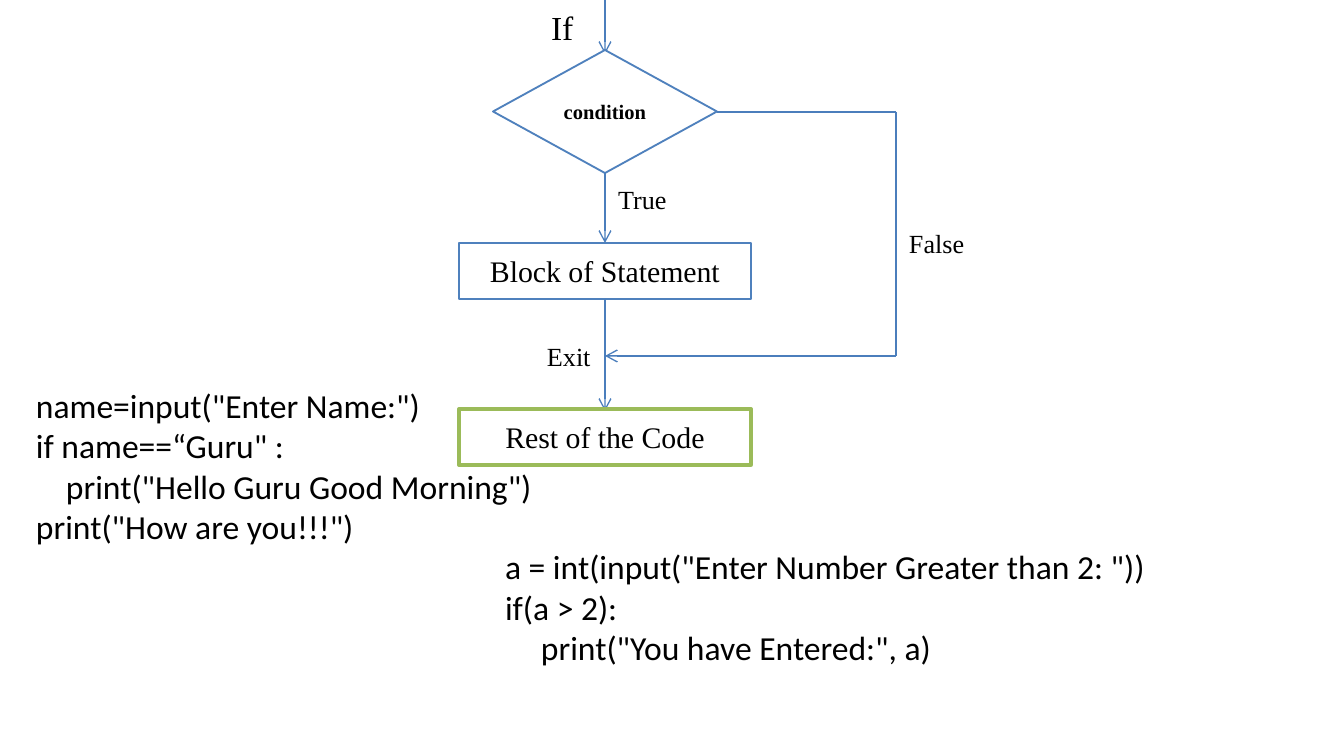
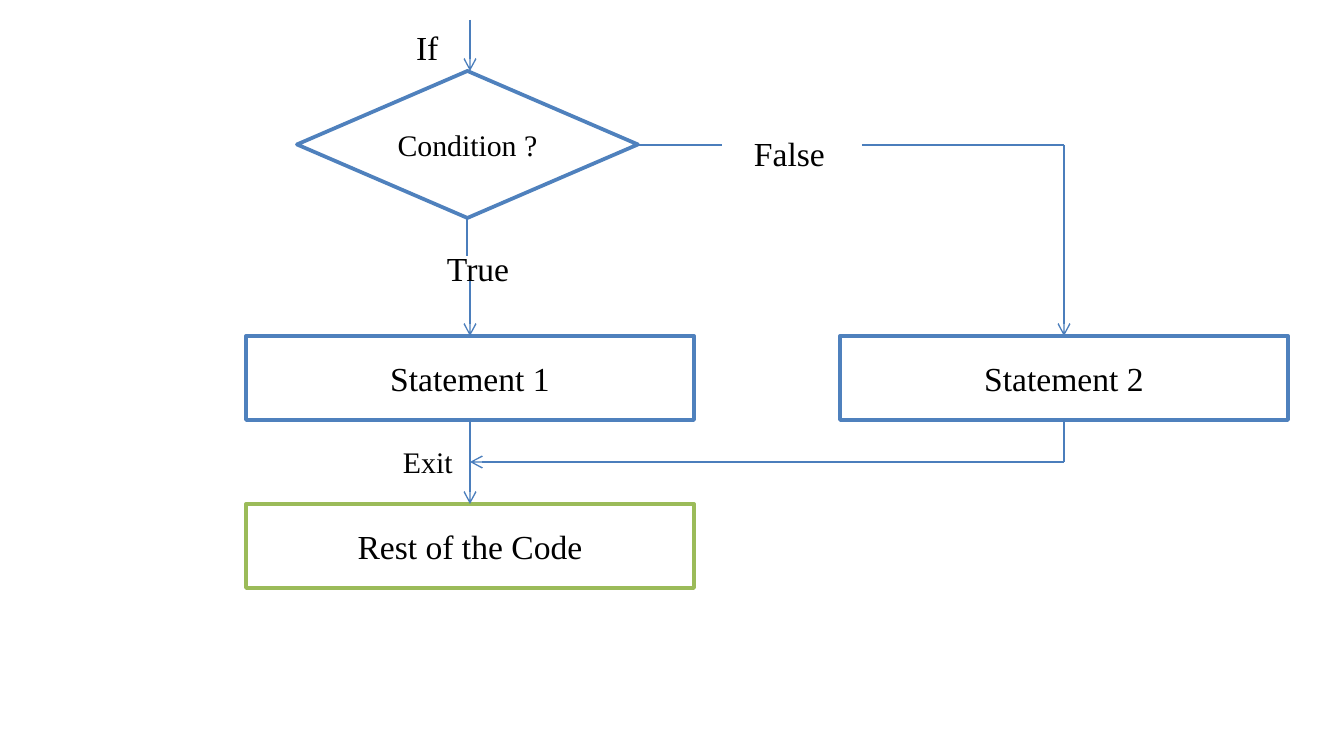
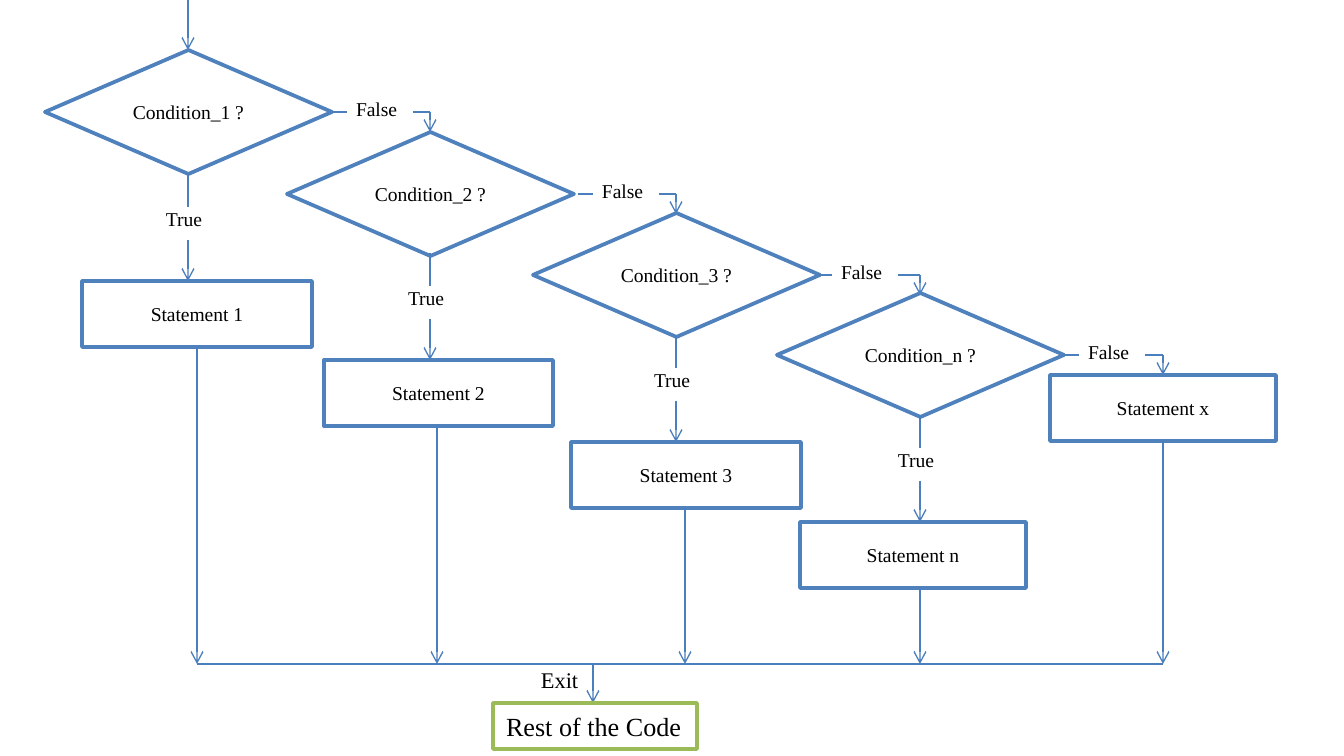
from pptx import Presentation
from pptx.dml.color import RGBColor
from pptx.enum.shapes import MSO_CONNECTOR, MSO_SHAPE
from pptx.enum.text import MSO_ANCHOR, MSO_AUTO_SIZE, PP_ALIGN
from pptx.oxml.ns import qn
from pptx.util import Emu, Pt
from lxml import etree

STRAIGHT = MSO_CONNECTOR.STRAIGHT
RECT, DIAMOND = MSO_SHAPE.RECTANGLE, MSO_SHAPE.DIAMOND
CHOICE = MSO_SHAPE.FLOWCHART_DECISION
LEFT, CENTER = PP_ALIGN.LEFT, PP_ALIGN.CENTER
TOP, MIDDLE = MSO_ANCHOR.TOP, MSO_ANCHOR.MIDDLE
FIT, FIXED = MSO_AUTO_SIZE.SHAPE_TO_FIT_TEXT, MSO_AUTO_SIZE.NONE

COLORS = {"white": "FFFFFF", "black": "000000", "blue": "4F81BD",
          "wire": "4B7EBC", "green": "9BBB59"}
SERIF, SANS = "Times New Roman", "Calibri"
WIDE, TIGHT = (13, 7), (9, 5)
SCALE = 914400 / 134.4


def px(n):
    return Emu(round(n * SCALE))


def color(name):
    return RGBColor.from_string(COLORS[name])


def say(frame, text, size=18, font=SERIF, bold=False, align=LEFT,
        anchor=TOP, pad=WIDE, wrap=False, fit=FIXED, indents=()):
    frame.word_wrap = wrap
    frame.auto_size = fit
    frame.vertical_anchor = anchor
    frame.margin_left = frame.margin_right = px(pad[0])
    frame.margin_top = frame.margin_bottom = px(pad[1])
    for i, part in enumerate(text.split("\n")):
        para = frame.add_paragraph() if i else frame.paragraphs[0]
        para.alignment = align
        if indents:
            para._p.get_or_add_pPr().set("marL", str(px(indents[i])))
        run = para.add_run()
        run.text = part
        run.font.size, run.font.name, run.font.bold = Pt(size), font, bold
        run.font.color.rgb = color("black")


class Deck:
    def __init__(self):
        self.file = Presentation()
        self.file.slide_width, self.file.slide_height = px(1344), px(756)

    def page(self):
        slide = self.file.slides.add_slide(self.file.slide_layouts[6])
        self.shapes = slide.shapes

    def line(self, x1, y1, x2, y2, head=False):
        wire = self.shapes.add_connector(STRAIGHT, px(x1), px(y1), px(x2), px(y2))
        wire.line.color.rgb = color("wire")
        wire.line.width = Pt(0.75)
        if head:
            etree.SubElement(wire.line._get_or_add_ln(), qn("a:tailEnd"), type="arrow")
        etree.SubElement(wire._element.spPr, qn("a:effectLst"))

    def arrow(self, x1, y1, x2, y2):
        self.line(x1, y1, x2, y2, head=True)

    def box(self, text, x, y, w, h, kind=RECT, edge="blue", width=2, **style):
        shape = self.shapes.add_shape(kind, px(x), px(y), px(w), px(h))
        shape.shadow.inherit = False
        shape.fill.solid()
        shape.fill.fore_color.rgb = color("white")
        shape.line.color.rgb = color(edge)
        shape.line.width = Pt(width)
        look = dict(align=CENTER, anchor=MIDDLE, pad=TIGHT, wrap=True)
        say(shape.text_frame, text, **{**look, **style})

    def label(self, text, x, y, w, h, **style):
        box = self.shapes.add_textbox(px(x), px(y), px(w), px(h))
        say(box.text_frame, text, fit=FIT, **style)


def simple(deck):
    deck.page()
    mid, side, left, wide, high = 605, 896, 459, 292, 56
    deck.arrow(mid, 0, mid, 54)
    deck.box("condition", 493, 50, 224, 123, kind=DIAMOND, width=1,
             size=11, bold=True, pad=WIDE)
    deck.arrow(mid, 173, mid, 243)
    deck.box("Block of Statement", left, 243, wide, high, width=1, size=16, pad=WIDE)
    deck.line(717, 112, side, 112)
    deck.line(side, 112, side, 356)
    deck.arrow(mid, 299, mid, 411)
    deck.arrow(side, 356, mid, 356)
    deck.label("If", 538, 0, 50, 54)
    for text, x, y, w in (("True", mid, 176, 75), ("False", side, 220, 83),
                          ("Exit", 534, 333, 71)):
        deck.label(text, x, y, w, 46, size=14)
    deck.box("Rest of the Code", left, 409, wide, high, edge="green", size=16, pad=WIDE)
    code = ('name=input("Enter Name:")\n'
            'if name==“Guru" :\n'
            'print("Hello Guru Good Morning")\n'
            'print("How are you!!!")\n'
            'a = int(input("Enter Number Greater than 2: "))\n'
            'if(a > 2):\n'
            'print("You have Entered:", a)')
    deck.label(code, 23, 378, 1288, 298, font=SANS, wrap=True,
               indents=(0, 0, 30, 0, 469, 469, 505))


def branch(deck):
    deck.page()
    mid, side, left, wide, high = 470, 1064, 246, 448, 84
    deck.arrow(mid, 20, mid, 71)
    deck.box("Condition ?", 297, 71, 341, 147, kind=CHOICE, size=16)
    deck.line(638, 145, 722, 145)
    deck.line(862, 145, side, 145)
    deck.arrow(side, 145, side, 336)
    deck.box("Statement 1", left, 336, wide, high)
    deck.box("Statement 2", 840, 336, wide, high)
    deck.arrow(mid, 277, mid, 336)
    deck.line(side, 420, side, 462)
    deck.arrow(side, 462, mid, 462)
    deck.box("Rest of the Code", left, 504, wide, high, edge="green")
    deck.arrow(mid, 420, mid, 504)
    deck.label("False", 745, 128, 91, 51, pad=TIGHT)
    deck.label("True", 438, 243, 82, 51, pad=TIGHT)
    deck.line(467, 218, 467, 256)
    deck.label("If", 403, 20, 50, 54)
    deck.label("Exit", 390, 437, 78, 50, size=16)


def ladder(deck):
    deck.page()
    size, high, base = 10.5, 66, 664
    steps = (("1", 188, 50, 82, 281, 230, 197, 332),
             ("2", 430, 132, 324, 360, 229, 437, 578),
             ("3", 676, 213, 571, 442, 230, 685, 817),
             ("n", 920, 293, 800, 522, 226, 920, 1064))
    last = 1163
    turns = [step[1] for step in steps[1:]] + [last]
    deck.arrow(188, 0, 188, 50)
    for (name, mid, top, left, low, wide, drop, stub), turn in zip(steps, turns):
        deck.box(f"Condition_{name} ?", mid - 143, top, 287, 124, kind=CHOICE, size=size)
        deck.line(mid, low - 107, mid, low - 74)
        deck.arrow(mid, low - 41, mid, low)
        deck.label("True", mid - 31, low - 79, 59, 35, size=size, pad=TIGHT)
        deck.box(f"Statement {name}", left, low, wide, high, size=size)
        deck.arrow(drop, low + high, drop, base)
        row = top + 62
        deck.line(stub, row, stub + 15, row)
        deck.label("False", stub + 15, row - 20, 63, 35, size=size, pad=TIGHT)
        deck.line(stub + 81, row, turn, row)
        deck.arrow(turn, row, turn, row + 20)
    deck.box("Statement x", 1050, 375, 226, high, size=size)
    deck.arrow(last, 375 + high, last, base)
    deck.line(197, base, last, base)
    deck.arrow(593, base, 593, 703)
    deck.label("Exit", 528, 659, 65, 40, size=12)
    deck.box("Rest of the Code", 493, 703, 204, 46, edge="green", size=14,
             align=LEFT, anchor=TOP, pad=WIDE, wrap=False, fit=FIT)


deck = Deck()
simple(deck)
branch(deck)
ladder(deck)
deck.file.save("out.pptx")
